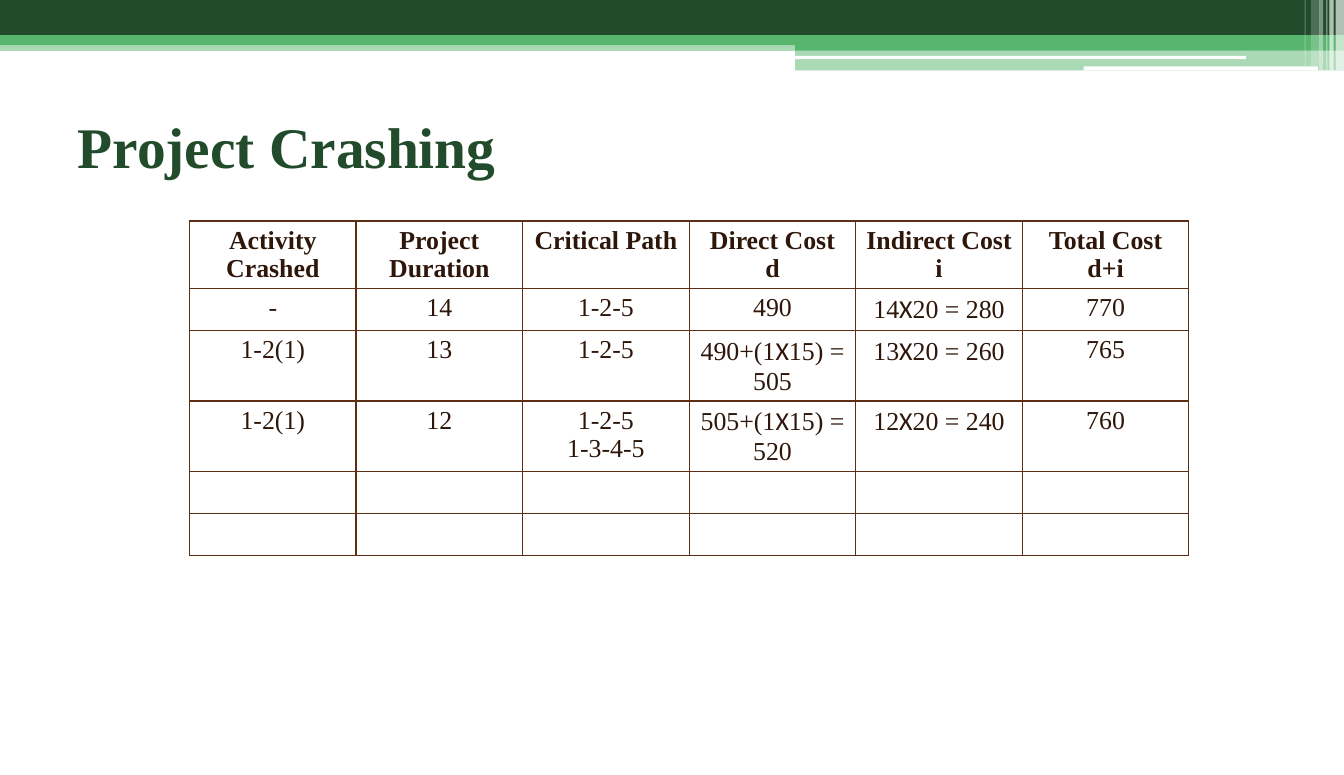
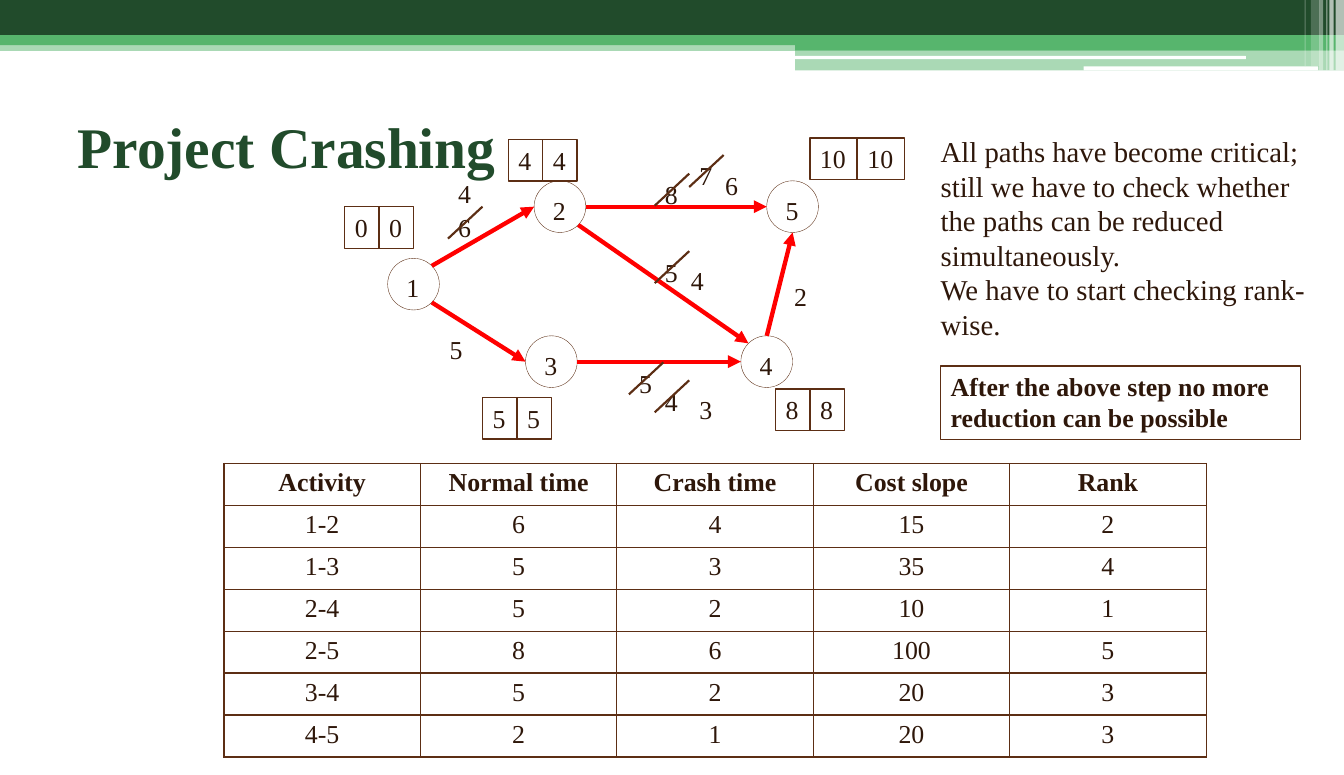
from dataclasses import dataclass
from math import cos, radians, sin

from lxml.etree import SubElement
from pptx import Presentation
from pptx.dml.color import RGBColor
from pptx.enum.shapes import MSO_CONNECTOR as Connector, MSO_SHAPE as Preset
from pptx.enum.text import MSO_ANCHOR as Anchor, MSO_AUTO_SIZE as AutoSize, PP_ALIGN as Align
from pptx.oxml.ns import qn
from pptx.util import Pt

COLORS = {
    "forest": "214B2B",
    "green": "57B56D",
    "white": "FFFFFF",
    "ink": "2E170A",
    "brown": "5C2E14",
    "red": "FF0000",
}
SERIF = "Times New Roman"
SANS = "Calibri"
TIMES_MARK = "X"
ROW_HEIGHT = 29.2
DIGIT_WIDTH, DIGIT_HEIGHT = 24, 29
STRIKE_HEIGHT = 22.3
NODE_SIZE = 36


@dataclass(frozen=True)
class Band:
    left: float
    top: float
    width: float
    height: float
    color: str
    opacity: int = 100
    preset: Preset = Preset.RECTANGLE


@dataclass(frozen=True)
class TextStyle:
    size: float = 18
    color: str = "ink"
    bold: bool = False


@dataclass(frozen=True)
class Node:
    name: str
    left: float
    top: float

    def rim(self, angle: float) -> tuple[float, float]:
        radius = NODE_SIZE / 2
        turn = radians(angle)
        return self.left + radius * (1 + cos(turn)), self.top + radius * (1 + sin(turn))


@dataclass(frozen=True)
class Edge:
    start: str
    start_angle: float
    end: str
    end_angle: float


@dataclass(frozen=True)
class Duration:
    text: str
    left: float
    top: float
    struck: bool = False


@dataclass(frozen=True)
class EventTimes:
    text: str
    left: float
    top: float
    width: float = DIGIT_WIDTH


@dataclass(frozen=True)
class Grid:
    left: float
    top: float
    width: float
    rows: list[list[str]]
    white_rows: int = 0


BANDS = [
    Band(0, 29, 936, 6.5, "green", 50),
    Band(0, 0, 936, 24.5, "forest"),
    Band(0, 24.5, 936, 7, "green"),
    Band(553.7, 28, 382.3, 7, "green"),
    Band(553.7, 35, 382.3, 14, "green", 50),
    Band(553.7, 39, 314, 2.2, "white", 100, Preset.ROUNDED_RECTANGLE),
    Band(754.6, 46.2, 163.4, 2.9, "white", 100, Preset.ROUNDED_RECTANGLE),
    Band(930.2, 0, 5.8, 49, "white", 65),
    Band(925.9, 0, 2.9, 49, "white", 65),
    Band(923.8, 0, 0.7, 49, "white", 60),
    Band(918.7, 0, 2.9, 49, "white", 40),
    Band(913, 0, 5.8, 46, "white", 20),
    Band(908.6, 0, 0.7, 46, "white", 30),
]
NODES = [
    Node("1", 270, 180),
    Node("2", 372, 126),
    Node("5", 534, 126),
    Node("4", 516, 234),
    Node("3", 366, 234),
]
EDGES = [
    Edge("1", -45, "2", 180),
    Edge("2", 0, "5", 180),
    Edge("1", 45, "3", 180),
    Edge("3", 0, "4", 180),
    Edge("2", 45, "4", 225),
    Edge("4", -90, "5", 90),
]
DURATIONS = [
    Duration("6", 312, 144, True),
    Duration("4", 312, 120),
    Duration("5", 306, 229),
    Duration("8", 456, 121, True),
    Duration("7", 480, 108, True),
    Duration("6", 498, 115),
    Duration("5", 456, 175, True),
    Duration("4", 474, 181),
    Duration("5", 438, 252.5, True),
    Duration("4", 456, 265, True),
    Duration("3", 480, 271),
    Duration("2", 546, 192),
]
EVENT_TIMES = [
    EventTimes("0", 240, 144),
    EventTimes("4", 354, 97),
    EventTimes("10", 564, 96, 33),
    EventTimes("5", 336, 277),
    EventTimes("8", 540, 271),
]
COST_GRID = Grid(132, 154, 696, [
    ["Activity Crashed", "Project Duration", "Critical Path",
     "Direct Cost\nd", "Indirect Cost\ni", "Total Cost\nd+i"],
    ["-", "14", "1-2-5", "490", "14X20 = 280", "770"],
    ["1-2(1)", "13", "1-2-5", "490+(1X15) = 505", "13X20 = 260", "765"],
    ["1-2(1)", "12", "1-2-5\n1-3-4-5", "505+(1X15) = 520", "12X20 = 240", "760"],
    [""] * 6,
    [""] * 6,
])
SLOPE_GRID = Grid(156, 323, 684, [
    ["Activity", "Normal time", "Crash time", "Cost slope", "Rank"],
    ["1-2", "6", "4", "15", "2"],
    ["1-3", "5", "3", "35", "4"],
    ["2-4", "5", "2", "10", "1"],
    ["2-5", "8", "6", "100", "5"],
    ["3-4", "5", "2", "20", "3"],
    ["4-5", "2", "1", "20", "3"],
], white_rows=5)
NOTE = ("All paths have become critical; still we have to check whether the paths "
        "can be reduced simultaneously.\nWe have to start checking rank-wise.")


def rgb(name: str) -> RGBColor:
    return RGBColor.from_string(COLORS[name])


def frame(left: float, top: float, width: float, height: float) -> tuple:
    return Pt(left), Pt(top), Pt(width), Pt(height)


def write(text_frame, text: str, style: TextStyle, align: Align = Align.LEFT) -> None:
    for index, line in enumerate(text.split("\n")):
        para = text_frame.add_paragraph() if index else text_frame.paragraphs[0]
        para.alignment = align
        para.font.size = Pt(style.size)
        for piece in filter(None, line.partition(TIMES_MARK)):
            span = para.add_run()
            span.text = piece
            span.font.name = SANS if piece == TIMES_MARK else SERIF
            span.font.size = Pt(style.size)
            span.font.bold = style.bold
            span.font.color.rgb = rgb(style.color)


def fill_text(box, text: str, style: TextStyle, wrap: bool = False) -> None:
    text_frame = box.text_frame
    text_frame.word_wrap = wrap
    text_frame.auto_size = AutoSize.SHAPE_TO_FIT_TEXT
    text_frame.vertical_anchor = Anchor.TOP
    write(text_frame, text, style)


def add_text(page, place: tuple, text: str, style: TextStyle, wrap: bool = False):
    box = page.shapes.add_textbox(*place)
    fill_text(box, text, style, wrap)
    return box


def add_outline(page, preset: Preset, place: tuple, weight: float):
    shape = page.shapes.add_shape(preset, *place)
    shape.shadow.inherit = False
    shape.fill.background()
    shape.line.color.rgb = rgb("brown")
    shape.line.width = Pt(weight)
    return shape


def add_line(page, start: tuple, end: tuple, color: str, weight: float, arrow: bool = False) -> None:
    line = page.shapes.add_connector(Connector.STRAIGHT, *map(Pt, start + end))
    line.line.color.rgb = rgb(color)
    line.line.width = Pt(weight)
    if arrow:
        SubElement(line.line._get_or_add_ln(), qn("a:tailEnd"), type="triangle")
    SubElement(line._element.spPr, qn("a:effectLst"))


def add_band(page, band: Band) -> None:
    shape = page.shapes.add_shape(band.preset, *frame(band.left, band.top, band.width, band.height))
    shape.shadow.inherit = False
    shape.fill.solid()
    shape.fill.fore_color.rgb = rgb(band.color)
    shape.line.fill.background()
    if band.opacity < 100:
        color = shape._element.spPr.find(qn("a:solidFill"))[0]
        SubElement(color, qn("a:alpha"), val=str(band.opacity * 1000))


def add_page(deck, title: str):
    page = deck.slides.add_slide(deck.slide_layouts[6])
    for band in BANDS:
        add_band(page, band)
    box = add_text(page, frame(47, 68.5, 842, 84), title, TextStyle(40, "forest", True), True)
    box.text_frame.auto_size = AutoSize.NONE
    box.text_frame.margin_top = Pt(9)
    return page


def add_borders(cell) -> None:
    properties = cell._tc.get_or_add_tcPr()
    for side in ("lnL", "lnR", "lnT", "lnB"):
        border = SubElement(properties, qn(f"a:{side}"), w=str(Pt(1)))
        paint = SubElement(border, qn("a:solidFill"))
        SubElement(paint, qn("a:srgbClr"), val=COLORS["brown"])


def add_grid(page, grid: Grid) -> None:
    row_count, column_count = len(grid.rows), len(grid.rows[0])
    place = frame(grid.left, grid.top, grid.width, ROW_HEIGHT * row_count)
    table = page.shapes.add_table(row_count, column_count, *place).table
    table.first_row = table.horz_banding = False
    for column in table.columns:
        column.width = Pt(grid.width / column_count)
    for row_index, texts in enumerate(grid.rows):
        table.rows[row_index].height = Pt(ROW_HEIGHT)
        for column_index, text in enumerate(texts):
            cell = table.cell(row_index, column_index)
            add_borders(cell)
            if row_index < grid.white_rows:
                cell.fill.solid()
                cell.fill.fore_color.rgb = rgb("white")
            else:
                cell.fill.background()
            write(cell.text_frame, text, TextStyle(bold=row_index == 0), Align.CENTER)


def add_network(page) -> None:
    digit = TextStyle()
    for node in NODES:
        add_outline(page, Preset.OVAL, frame(node.left, node.top, NODE_SIZE, NODE_SIZE), 0.25)
        add_text(page, frame(node.left + 6, node.top + 6, DIGIT_WIDTH, DIGIT_HEIGHT), node.name, digit)
    nodes = {node.name: node for node in NODES}
    for edge in EDGES:
        start = nodes[edge.start].rim(edge.start_angle)
        end = nodes[edge.end].rim(edge.end_angle)
        add_line(page, start, end, "red", 3, arrow=True)
    for item in DURATIONS:
        add_text(page, frame(item.left, item.top, DIGIT_WIDTH, DIGIT_HEIGHT), item.text, digit)
        if item.struck:
            add_line(page, (item.left + DIGIT_WIDTH, item.top),
                     (item.left, item.top + STRIKE_HEIGHT), "brown", 1.5)
    for times in EVENT_TIMES:
        for left in (times.left, times.left + times.width):
            place = frame(left, times.top, times.width, DIGIT_HEIGHT)
            fill_text(add_outline(page, Preset.RECTANGLE, place, 1), times.text, digit)


def main() -> None:
    deck = Presentation()
    deck.slide_width, deck.slide_height = Pt(936), Pt(540)

    cost_page = add_page(deck, "Project Crashing")
    add_grid(cost_page, COST_GRID)

    network_page = add_page(deck, "Project Crashing")
    add_network(network_page)
    add_grid(network_page, SLOPE_GRID)
    add_text(network_page, frame(648, 90, 270, 152.5), NOTE, TextStyle(20), True)
    callout = add_outline(network_page, Preset.RECTANGLE, frame(655, 255, 250.5, 51), 0.75)
    fill_text(callout, "After the above step no more reduction can be possible", TextStyle(bold=True), True)

    deck.save("out.pptx")


if __name__ == "__main__":
    main()
